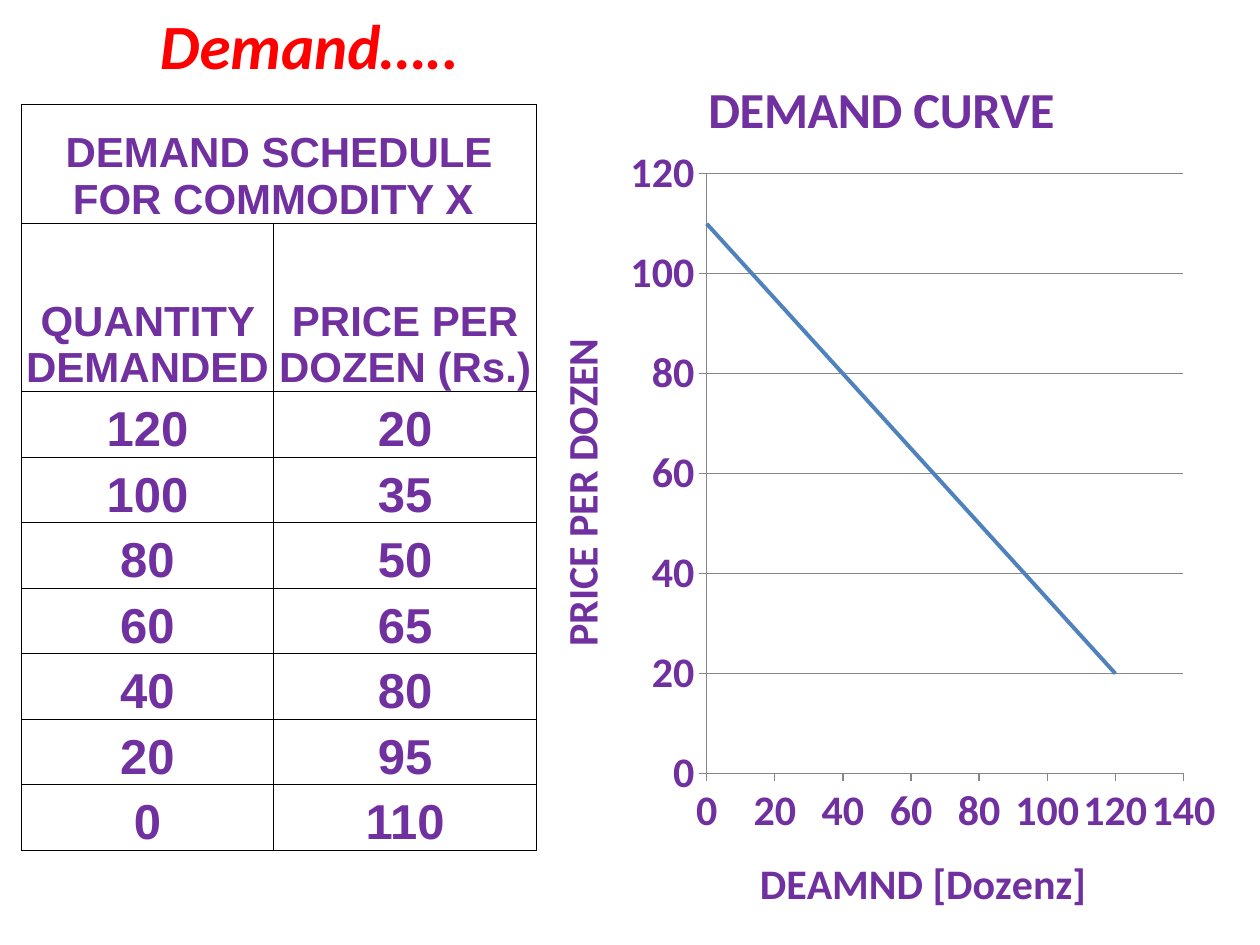
from lxml import etree
from pptx import Presentation
from pptx.chart.data import XyChartData
from pptx.dml.color import RGBColor
from pptx.enum.chart import XL_CHART_TYPE as ChartType, XL_TICK_MARK as TickMark
from pptx.enum.text import MSO_ANCHOR as Anchor, PP_ALIGN as Align
from pptx.oxml import parse_xml
from pptx.oxml.ns import nsdecls, qn
from pptx.util import Inches, Pt

COLORS = {"text": "7030A0", "title": "FF0000", "border": "000000",
          "curve": "4F81BD", "axis": "868686"}
QUANTITIES = [120, 100, 80, 60, 40, 20, 0]
PRICES = [20, 35, 50, 65, 80, 95, 110]


def rgb(name):
    return RGBColor.from_string(COLORS[name])


class SlideBuilder:
    def __init__(self, slide):
        self.slide = slide

    def style(self, font, size, face="Calibri", color="text", italic=None):
        font.name, font.size, font.bold, font.italic = face, Pt(size), True, italic
        font.color.rgb = rgb(color)

    def heading(self, text, left, top, width, height):
        box = self.slide.shapes.add_textbox(
            Inches(left), Inches(top), Inches(width), Inches(height))
        box.text_frame.word_wrap = True
        line = box.text_frame.paragraphs[0]
        line.text = text
        self.style(line.font, 36, color="title", italic=True)

    def borders(self, cell, width):
        props = cell._tc.get_or_add_tcPr()
        for position, side in enumerate(("lnL", "lnR", "lnT", "lnB")):
            thickness = 0.5 if side == "lnB" else width
            props.insert(position, parse_xml(
                f'<a:{side} {nsdecls("a")} w="{Pt(thickness)}"><a:solidFill>'
                f'<a:srgbClr val="{COLORS["border"]}"/></a:solidFill></a:{side}>'))

    def cell(self, cell, text, size, border=0.5):
        cell.margin_left = cell.margin_right = cell.margin_top = cell.margin_bottom = 0
        cell.vertical_anchor = Anchor.BOTTOM
        cell.fill.background()
        self.borders(cell, border)
        if text:
            line = cell.text_frame.paragraphs[0]
            line.text = text
            line.alignment = Align.CENTER
            self.style(line.font, size, "Arial")

    def schedule(self, rows, left, top, widths, heights):
        table = self.slide.shapes.add_table(
            len(rows), len(widths), Inches(left), Inches(top),
            Inches(sum(widths)), Inches(sum(heights))).table
        table.first_row = table.horz_banding = False
        for column, width in zip(table.columns, widths):
            column.width = Inches(width)
        for r, (row, height) in enumerate(zip(rows, heights)):
            table.rows[r].height = Inches(height)
            for c, text in enumerate(row):
                self.cell(table.cell(r, c), text, 24 if r < 2 else 28, 0.5 if r else 1)
        table.cell(0, 0).merge(table.cell(0, len(widths) - 1))

    def chart_title(self, owner, text, size):
        line = owner.text_frame.paragraphs[0]
        line.text = text
        self.style(line.font, size)

    def axis(self, axis, title, top, gridlines):
        axis.minimum_scale, axis.maximum_scale, axis.major_unit = 0, top, 20
        axis.has_major_gridlines = gridlines
        axis.major_tick_mark, axis.minor_tick_mark = TickMark.OUTSIDE, TickMark.NONE
        lines = [axis.format.line]
        if gridlines:
            lines.append(axis.major_gridlines.format.line)
        for line in lines:
            line.color.rgb = rgb("axis")
            line.width = Pt(0.75)
        self.style(axis.tick_labels.font, 24)
        self.chart_title(axis.axis_title, title, 24)

    def plot_layout(self, chart, x, y, w, h):
        """Fix the inner plot area, in fractions of the chart."""
        area = chart._chartSpace.chart.plotArea
        for old in area.findall(qn("c:layout")):
            area.remove(old)
        layout = etree.Element(qn("c:layout"))
        manual = etree.SubElement(layout, qn("c:manualLayout"))
        settings = {"layoutTarget": "inner", "xMode": "edge", "yMode": "edge",
                    "x": x, "y": y, "w": w, "h": h}
        for tag, value in settings.items():
            etree.SubElement(manual, qn(f"c:{tag}")).set("val", str(value))
        area.insert(0, layout)

    def demand_curve(self, left, top, width, height):
        data = XyChartData()
        points = data.add_series("Series 1")
        for quantity, price in zip(QUANTITIES, PRICES):
            points.add_data_point(quantity, price)
        chart = self.slide.shapes.add_chart(
            ChartType.XY_SCATTER_SMOOTH_NO_MARKERS, Inches(left), Inches(top),
            Inches(width), Inches(height), data).chart
        self.style(chart.font, 24)
        chart.has_legend = False
        self.chart_title(chart.chart_title, "DEMAND CURVE", 28.8)
        chart.chart_title.include_in_layout = False
        self.axis(chart.category_axis, "DEAMND [Dozenz]", 140, False)
        self.axis(chart.value_axis, "PRICE PER DOZEN", 120, True)
        self.plot_layout(chart, 0.24, 0.15, 0.71, 0.68)
        chart.plots[0].vary_by_categories = False
        curve = chart.plots[0].series[0]
        curve.format.line.color.rgb = rgb("curve")
        curve.format.line.width = Pt(2.25)


def main():
    deck = Presentation()
    deck.slide_width, deck.slide_height = Inches(10), Inches(7.5)
    builder = SlideBuilder(deck.slides.add_slide(deck.slide_layouts[6]))
    rows = [("DEMAND SCHEDULE FOR COMMODITY X ", ""),
            ("QUANTITY DEMANDED ", "PRICE PER DOZEN (Rs.) ")]
    rows += [(str(quantity), str(price)) for quantity, price in zip(QUANTITIES, PRICES)]
    builder.schedule(rows, 0.17, 0.83, [2, 2.09], [0.94, 1.34] + [0.52] * len(PRICES))
    builder.heading("Demand…..", 1.17, 0, 6.08, 0.71)
    builder.demand_curve(4.33, 0.33, 5.33, 7)
    deck.save("out.pptx")


if __name__ == "__main__":
    main()
